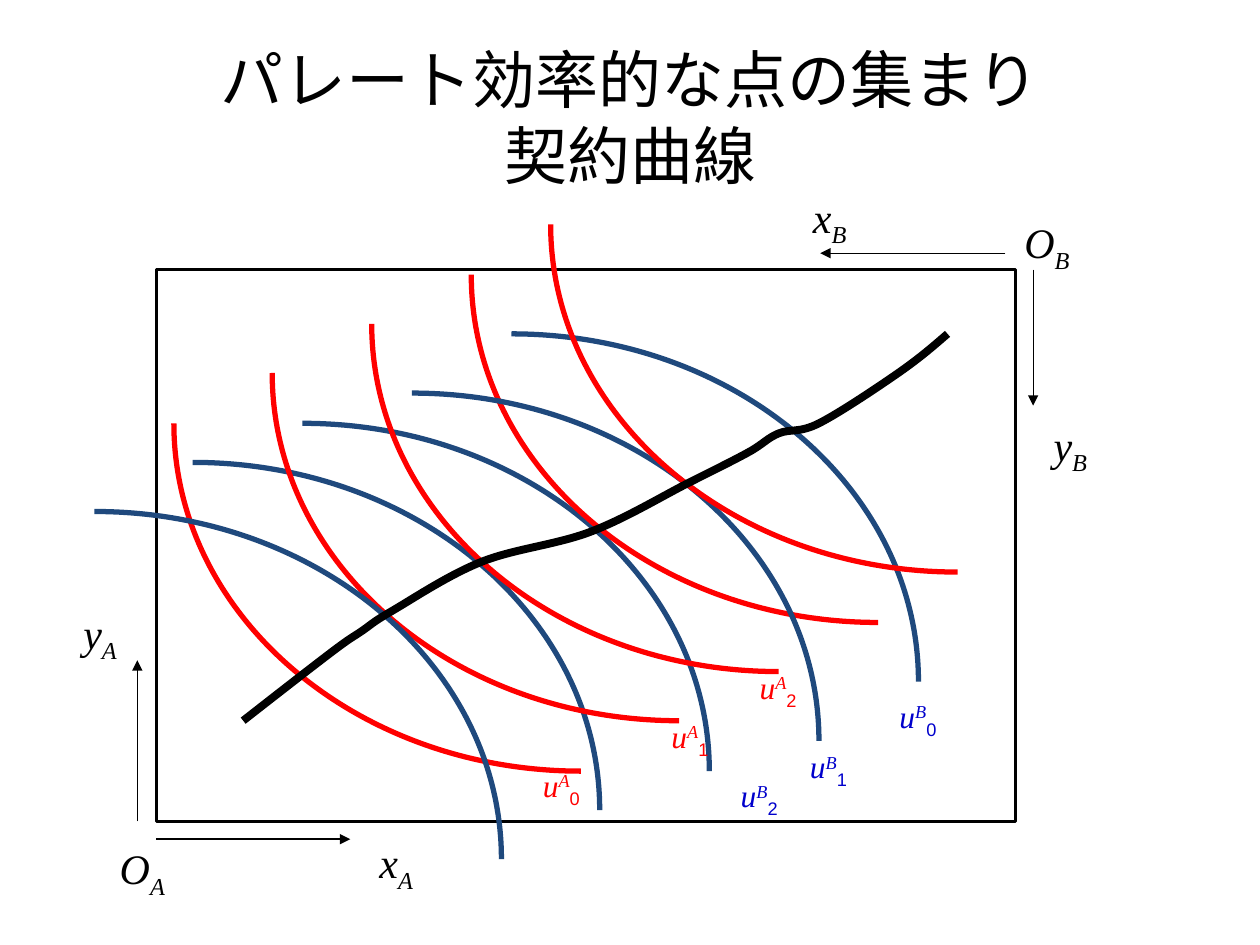
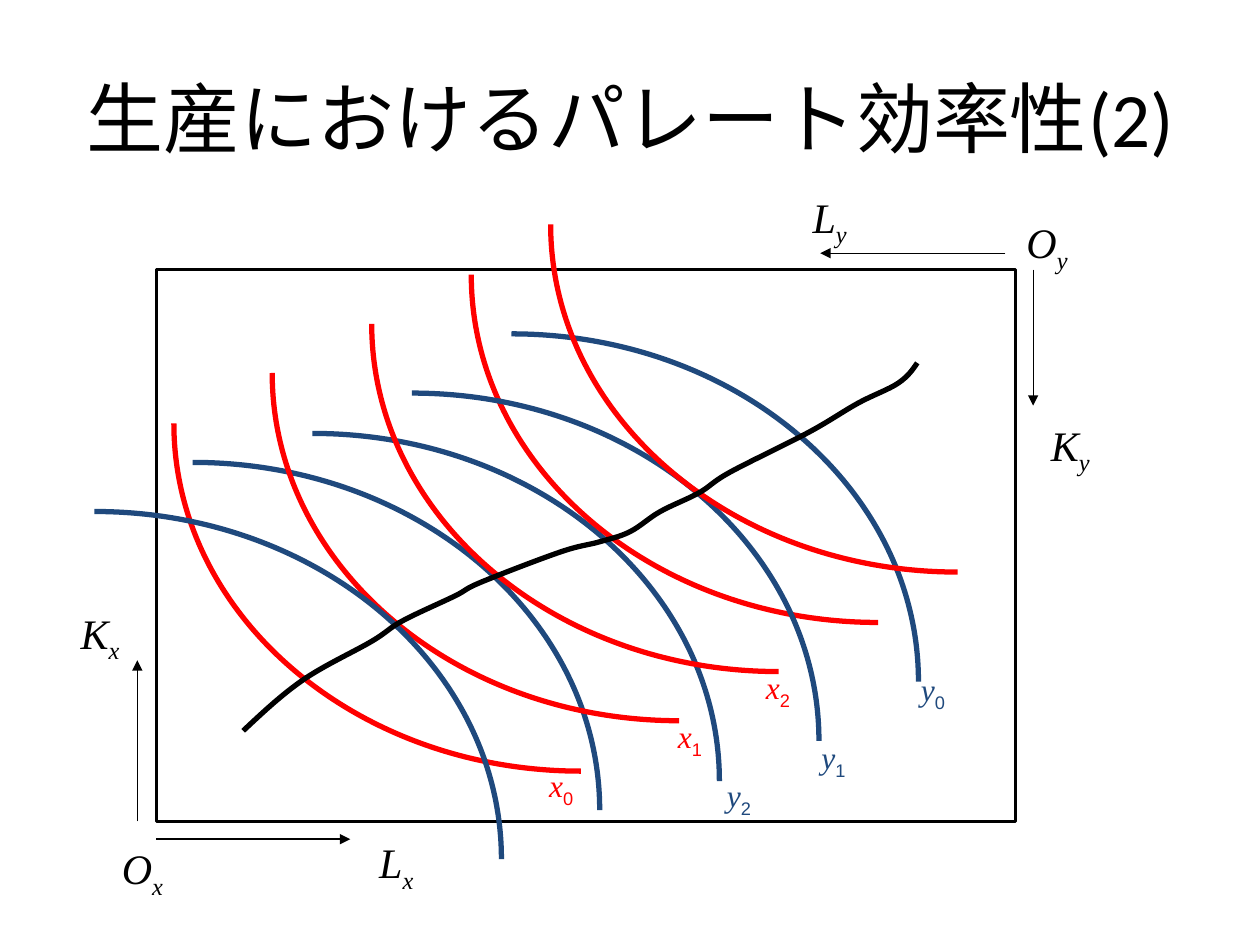
import pptx
import pptx.util
import pptx.dml.color
import pptx.enum.shapes
import pptx.enum.text
import pptx.oxml.ns
from lxml import etree

Inches, Pt = pptx.util.Inches, pptx.util.Pt
qn = pptx.oxml.ns.qn

COLORS = {"ink": "000000", "red": "FF0000", "navy": "1F497D", "blue": "0000CC"}
SERIF, SANS, HEAD = "Times New Roman", "Arial", "Calibri"
ARC_W, ARC_H = 3.23, 2.76
SUB, SUP = -25, 30

# Shared places: axis arrows, axis names (in the order they are named), curves
ARROWS = [(1.24, 6.66, 2.78, 6.66), (7.98, 2.01, 6.51, 2.01),
          (8.2, 2.14, 8.2, 3.22), (1.09, 6.52, 1.09, 5.24)]
AXES = [(0.8, 6.64, 0.66), (7.98, 1.67, 0.66), (2.78, 6.59, 0.73),
        (0.43, 4.77, 0.73), (6.22, 1.47, 0.73), (8.13, 3.28, 0.73)]
ARCS = [("navy", 1.53, 3.67), ("red", 2.16, 2.96), ("red", 2.95, 2.57),
        ("red", 3.74, 2.18), ("navy", 4.06, 2.65), ("navy", 3.27, 3.12),
        ("red", 1.38, 3.36), ("red", 4.37, 1.78), ("navy", 0.75, 4.06)]
RED_TAGS = [(4.06, 6.03), (5.08, 5.64), (5.78, 5.25)]

# What differs from slide to slide
SLIDES = [
    dict(title="パレート効率的な点の集まり\v契約曲線", size=36,
         axes=["OA", "OB", "xA", "yA", "xB", "yB"], mid=(2.4, 3.36),
         red=[("u", 0), ("A", SUP)], other=[("u", 0), ("B", SUP)], tint="blue",
         tags=[(6.89, 5.48), (6.18, 5.88), (5.63, 6.11)], width=4.5,
         path=[(1.93, 5.72), (2.64, 5.17), (2.87, 5.01), (3.11, 4.85),
               (3.82, 4.46), (4.69, 4.22), (5.47, 3.83), (5.94, 3.59),
               (6.18, 3.44), (6.5, 3.36), (7.13, 2.96), (7.52, 2.65)]),
    dict(title="生産におけるパレート効率性(2)", size=44,
         axes=["Ox", "Oy", "Lx", "Kx", "Ly", "Ky"], mid=(2.48, 3.44),
         red=[("x", 0)], other=[("y", 0)], tint="navy",
         tags=[(7.01, 5.27), (6.22, 5.81), (5.47, 6.11)], width=3,
         path=[(1.93, 5.8), (2.4, 5.4), (2.95, 5.09), (3.19, 4.93),
               (3.61, 4.73), (3.82, 4.62), (4.45, 4.38), (4.76, 4.3),
               (5, 4.22), (5.24, 4.06), (5.55, 3.91), (5.79, 3.75),
               (6.42, 3.43), (6.81, 3.2), (7.13, 3.04), (7.28, 2.88)]),
]


def rgb(name):
    return pptx.dml.color.RGBColor.from_string(COLORS[name])


def style(run, size, font, color, italic=False, base=0):
    run.font.size, run.font.name = Pt(size), font
    run.font.color.rgb = rgb(color)
    run.font.italic = italic
    if base:
        run.font._element.set("baseline", str(base * 1000))


def write(slide, parts, left, top, width, height, size=24, color="ink"):
    """Place a centred label; parts are (text, baseline); digits are upright."""
    box = slide.shapes.add_textbox(*map(Inches, (left, top, width, height)))
    frame = box.text_frame
    frame.word_wrap = True
    frame.auto_size = pptx.enum.text.MSO_AUTO_SIZE.SHAPE_TO_FIT_TEXT
    para = frame.paragraphs[0]
    para.alignment = pptx.enum.text.PP_ALIGN.CENTER
    gap = etree.SubElement(para._p.get_or_add_pPr(), qn("a:spcBef"))
    etree.SubElement(gap, qn("a:spcPct"), val="50000")
    for text, base in parts:
        run = para.add_run()
        run.text = text
        digit = text.isdigit()
        style(run, size, SANS if digit else SERIF, color, not digit, base)


def head(slide, text, size):
    title = slide.shapes.title
    title.left, title.top = Inches(0.5), Inches(0.3)
    title.width, title.height = Inches(9), Inches(1.25)
    frame = title.text_frame
    frame.vertical_anchor = pptx.enum.text.MSO_ANCHOR.MIDDLE
    para = frame.paragraphs[0]
    para.text = text
    para.alignment = pptx.enum.text.PP_ALIGN.CENTER
    for run in para.runs:
        style(run, size, HEAD, "ink")
    for br in para._p.findall(qn("a:br")):
        etree.SubElement(br, qn("a:rPr"), sz=str(size * 100))


def stroke(shape, color, width):
    shape.line.color.rgb = rgb(color)
    shape.line.width = Pt(width)


def arrow(slide, x1, y1, x2, y2):
    line = slide.shapes.add_connector(
        pptx.enum.shapes.MSO_CONNECTOR.STRAIGHT, *map(Inches, (x1, y1, x2, y2)))
    stroke(line, "ink", 0.75)
    etree.SubElement(line.line._get_or_add_ln(), qn("a:tailEnd"), type="triangle")
    etree.SubElement(line._element.spPr, qn("a:effectLst"))


def curve(slide, points, color, width):
    """Draw a start point followed by triples of Bezier points."""
    spots = [(Inches(x), Inches(y)) for x, y in points]
    pen = slide.shapes.build_freeform(*spots[0])
    pen.add_line_segments(spots[1:], close=False)
    shape = pen.convert_to_shape()
    shape.shadow.inherit = False
    shape.fill.background()
    stroke(shape, color, width)
    # Turn each three straight steps into one Bezier step
    steps = list(shape._element.iter(qn("a:lnTo")))
    for i in range(0, len(steps), 3):
        bend = etree.Element(qn("a:cubicBezTo"))
        steps[i].addprevious(bend)
        for step in steps[i:i + 3]:
            bend.append(step[0])
            step.getparent().remove(step)
    return shape


def arc(slide, color, left, top):
    """Draw a quarter ellipse; the red ones are turned to face the other way."""
    shape = curve(slide, [(left, top), (left + 0.553 * ARC_W, top),
                          (left + ARC_W, top + 0.448 * ARC_H),
                          (left + ARC_W, top + ARC_H)], color, 3)
    if color == "red":
        shape.rotation = 180


def smooth(knots):
    """Pass a spline through the knots; the end handles are halved."""
    def blend(a, b, c, share):
        return tuple(p + (r - q) * share for p, q, r in zip(a, b, c))

    last = len(knots) - 2
    points = [knots[0]]
    for i in range(last + 1):
        here, there = knots[i], knots[i + 1]
        out = blend(here, knots[i - 1], there, 1 / 6) if i else None
        into = blend(there, knots[i + 2], here, 1 / 6) if i < last else None
        out = out or blend(here, here, into, 1 / 2)
        into = into or blend(there, there, out, 1 / 2)
        points += [out, into, there]
    return points


def build(deck, data):
    slide = deck.slides.add_slide(deck.slide_layouts[5])
    head(slide, data["title"], data["size"])

    # Box and axes
    box = slide.shapes.add_shape(pptx.enum.shapes.MSO_SHAPE.RECTANGLE,
                                 *map(Inches, (1.24, 2.14, 6.82, 4.38)))
    box.shadow.inherit = False
    box.fill.background()
    stroke(box, "ink", 1.5)
    for ends in ARROWS:
        arrow(slide, *ends)
    for name, (left, top, width) in zip(data["axes"], AXES):
        write(slide, [(name[0], 0), (name[1], SUB)], left, top, width, 0.5)

    # Indifference curves or isoquants, with their names
    for spot in [("navy", *data["mid"])] + ARCS:
        arc(slide, *spot)
    for stem, spots, color in ((data["red"], RED_TAGS, "red"),
                               (data["other"], data["tags"], data["tint"])):
        for i, (left, top) in enumerate(spots):
            write(slide, stem + [(str(i), SUB)], left, top, 0.79, 0.4,
                  size=18, color=color)

    # Contract curve
    curve(slide, smooth(data["path"]), "ink", data["width"])


def main():
    deck = pptx.Presentation()
    deck.slide_width, deck.slide_height = Inches(10), Inches(7.5)
    for data in SLIDES:
        build(deck, data)
    deck.save("out.pptx")


main()
